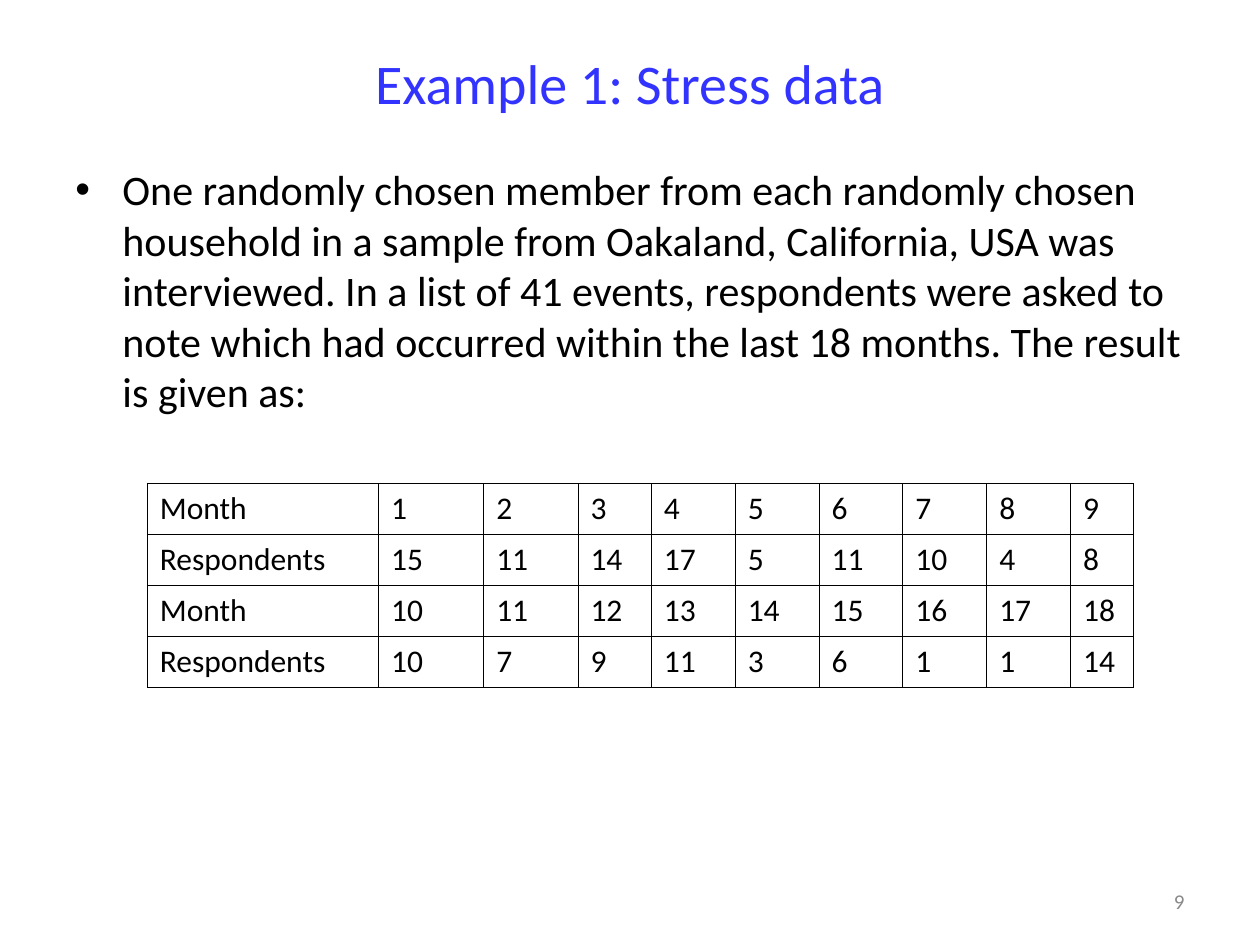
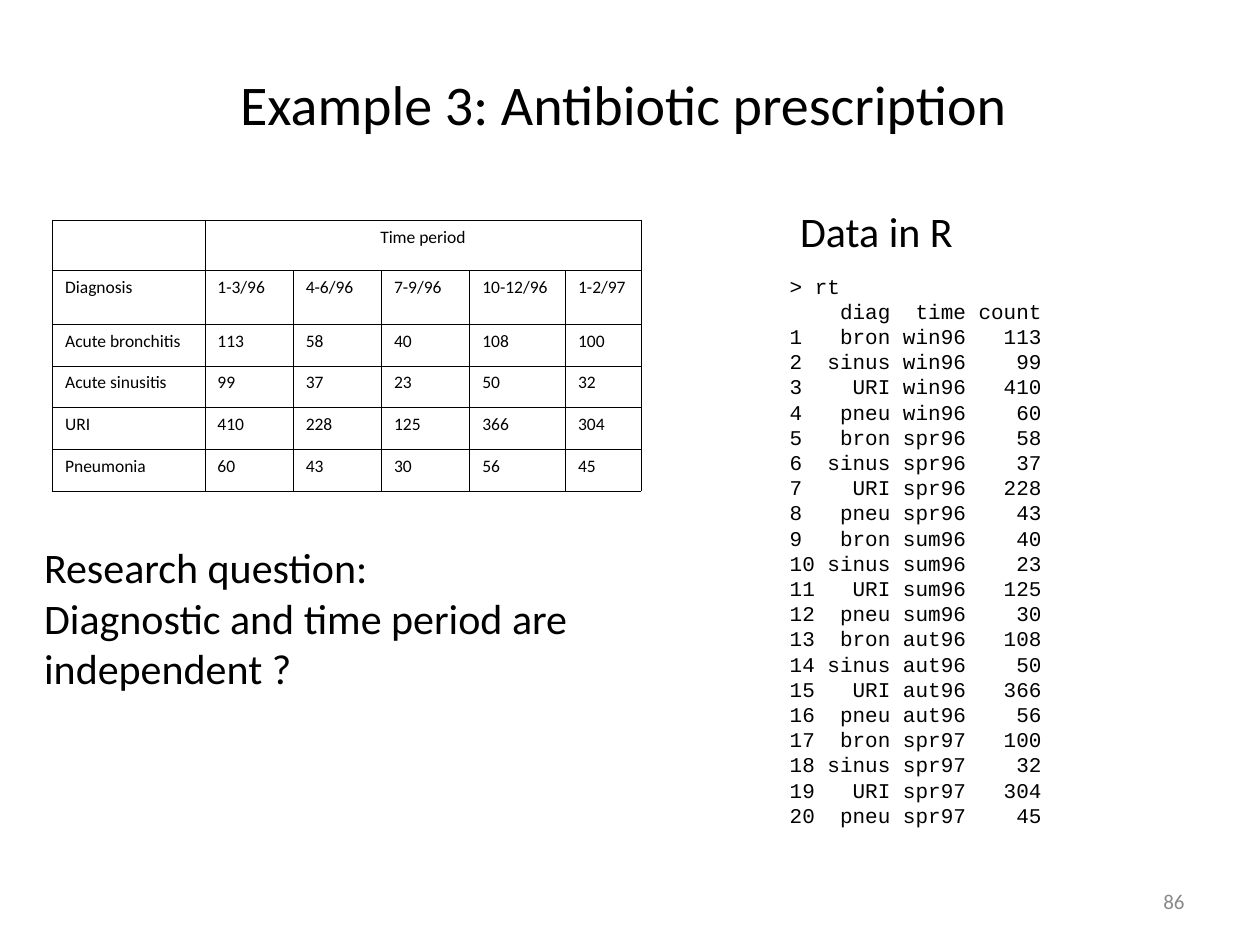
from dataclasses import dataclass
from itertools import product

from lxml import etree
from pptx import Presentation
from pptx.dml.color import RGBColor
from pptx.enum import text as t
from pptx.oxml import ns
from pptx.util import Cm, Pt

BLACK = RGBColor(0x00, 0x00, 0x00)
BLUE = RGBColor(0x33, 0x33, 0xFF)
GREY = RGBColor(0x89, 0x89, 0x89)
BODY_FONT = "Calibri"
CODE_FONT = "Courier New"
BORDER_WIDTH = Pt(0.45)
BULLET_INDENT = Cm(0.95)

STRESS_INTRO = (
    "One randomly chosen member from each randomly chosen household in a sample "
    "from Oakaland, California, USA was interviewed. In a list of 41 events, "
    "respondents were asked to note which had occurred within the last 18 months. "
    "The result is given as:"
)
RESPONDENTS = [15, 11, 14, 17, 5, 11, 10, 4, 8, 10, 7, 9, 11, 3, 6, 1, 1, 14]
MONTHS_PER_ROW = 9

PERIODS = ["1-3/96", "4-6/96", "7-9/96", "10-12/96", "1-2/97"]
SEASONS = ["win96", "spr96", "sum96", "aut96", "spr97"]
PRESCRIPTIONS = {
    "Acute bronchitis": [113, 58, 40, 108, 100],
    "Acute sinusitis": [99, 37, 23, 50, 32],
    "URI": [410, 228, 125, 366, 304],
    "Pneumonia": [60, 43, 30, 56, 45],
}
SHORT_DIAGNOSES = ["bron", "sinus", "URI", "pneu"]


@dataclass(frozen=True)
class Style:
    size: float
    color: RGBColor = BLACK
    font: str = BODY_FONT
    align: t.PP_ALIGN = t.PP_ALIGN.LEFT
    anchor: t.MSO_ANCHOR = t.MSO_ANCHOR.TOP
    bullet: bool = False


@dataclass(frozen=True)
class TextBlock:
    left: float
    top: float
    width: float
    height: float
    lines: list[str]
    style: Style


@dataclass(frozen=True)
class Grid:
    left: float
    top: float
    columns: list[float]
    rows: list[float]
    cells: list[list[str]]
    size: float


BODY = Style(24)
CODE = Style(12, font=CODE_FONT)
PAGE_NUMBER = Style(12, GREY, align=t.PP_ALIGN.RIGHT, anchor=t.MSO_ANCHOR.MIDDLE)


def write(paragraph, line: str, style: Style) -> None:
    paragraph.alignment = style.align
    if style.bullet:
        properties = paragraph._p.get_or_add_pPr()
        properties.set("marL", str(BULLET_INDENT))
        properties.set("indent", str(-BULLET_INDENT))
        etree.SubElement(properties, ns.qn("a:buFont"), typeface="Arial")
        etree.SubElement(properties, ns.qn("a:buChar"), char="•")
    run = paragraph.add_run()
    run.text = line
    run.font.name = style.font
    run.font.size = Pt(style.size)
    run.font.color.rgb = style.color


def draw_text(slide, block: TextBlock) -> None:
    box = slide.shapes.add_textbox(
        Cm(block.left), Cm(block.top), Cm(block.width), Cm(block.height)
    )
    frame = box.text_frame
    frame.word_wrap = True
    frame.vertical_anchor = block.style.anchor
    for index, line in enumerate(block.lines):
        paragraph = frame.add_paragraph() if index else frame.paragraphs[0]
        write(paragraph, line, block.style)


def outline(cell) -> None:
    properties = cell._tc.get_or_add_tcPr()
    for side in ("lnL", "lnR", "lnT", "lnB"):
        line = etree.SubElement(properties, ns.qn(f"a:{side}"), w=str(BORDER_WIDTH))
        fill = etree.SubElement(line, ns.qn("a:solidFill"))
        etree.SubElement(fill, ns.qn("a:srgbClr"), val=str(BLACK))
    cell.fill.background()


def draw_grid(slide, grid: Grid):
    table = slide.shapes.add_table(
        len(grid.rows), len(grid.columns), Cm(grid.left), Cm(grid.top),
        Cm(sum(grid.columns)), Cm(sum(grid.rows)),
    ).table
    table.first_row = table.horz_banding = False
    for column, width in zip(table.columns, grid.columns):
        column.width = Cm(width)
    for row, height, values in zip(table.rows, grid.rows, grid.cells):
        row.height = Cm(height)
        for cell, value in zip(row.cells, values):
            outline(cell)
            if value:
                write(cell.text_frame.paragraphs[0], value, Style(grid.size))
    return table


def add_page(deck, title: str, color: RGBColor, title_height: float, number: int):
    slide = deck.slides.add_slide(deck.slide_layouts[6])
    heading = Style(32, color, align=t.PP_ALIGN.CENTER, anchor=t.MSO_ANCHOR.MIDDLE)
    draw_text(slide, TextBlock(1.27, 0.76, 22.86, title_height, [title], heading))
    draw_text(slide, TextBlock(18.2, 17.65, 5.93, 1.02, [str(number)], PAGE_NUMBER))
    return slide


def stress_rows() -> list[list[str]]:
    rows = []
    for start in range(0, len(RESPONDENTS), MONTHS_PER_ROW):
        end = start + MONTHS_PER_ROW
        rows.append(["Month", *map(str, range(start + 1, end + 1))])
        rows.append(["Respondents", *map(str, RESPONDENTS[start:end])])
    return rows


def r_listing() -> list[str]:
    records = [("", "diag", "time", "count")]
    pairs = product(range(len(SEASONS)), zip(SHORT_DIAGNOSES, PRESCRIPTIONS.values()))
    for number, (period, (diagnosis, counts)) in enumerate(pairs, start=1):
        records.append((number, diagnosis, SEASONS[period], counts[period]))
    return ["> rt"] + [
        f"{number:<2} {diagnosis:>5} {season:>5} {count:>5}"
        for number, diagnosis, season, count in records
    ]


def build_stress(deck) -> None:
    slide = add_page(deck, "Example 1: Stress data", BLUE, 1.78, 9)
    draw_text(
        slide,
        TextBlock(1.27, 3.18, 22.86, 13.84, [STRESS_INTRO], Style(24, bullet=True)),
    )
    columns = [4.66, 2.12, 1.9, 1.48, *[1.69] * 5, 1.27]
    draw_grid(slide, Grid(2.97, 9.74, columns, [1.03] * 4, stress_rows(), 18))


def build_antibiotics(deck) -> None:
    slide = add_page(deck, "Example 3: Antibiotic prescription ", BLACK, 2.62, 86)
    cells = [["", "Time period", "", "", "", ""], ["Diagnosis", *PERIODS]]
    cells += [[name, *map(str, counts)] for name, counts in PRESCRIPTIONS.items()]
    columns = [3.07, *[1.78] * 3, 1.93, 1.52]
    rows = [0.97, 1.08, *[0.84] * 4]
    table = draw_grid(slide, Grid(1.06, 4.44, columns, rows, cells, 10))
    period_heading = table.cell(0, 1)
    period_heading.merge(table.cell(0, len(PERIODS)))
    period_heading.text_frame.paragraphs[0].alignment = t.PP_ALIGN.CENTER
    question = ["Research question:", "Diagnostic and time period are independent ?"]
    draw_text(slide, TextBlock(0.64, 10.8, 12.5, 3.3, question, BODY))
    draw_text(slide, TextBlock(15.67, 5.38, 6.99, 11.43, r_listing(), CODE))
    draw_text(slide, TextBlock(15.88, 4.02, 8.46, 1.27, ["Data in R"], BODY))


def main() -> None:
    deck = Presentation()
    deck.slide_width = Cm(25.4)
    deck.slide_height = Cm(19.05)
    build_stress(deck)
    build_antibiotics(deck)
    deck.save("out.pptx")


if __name__ == "__main__":
    main()
